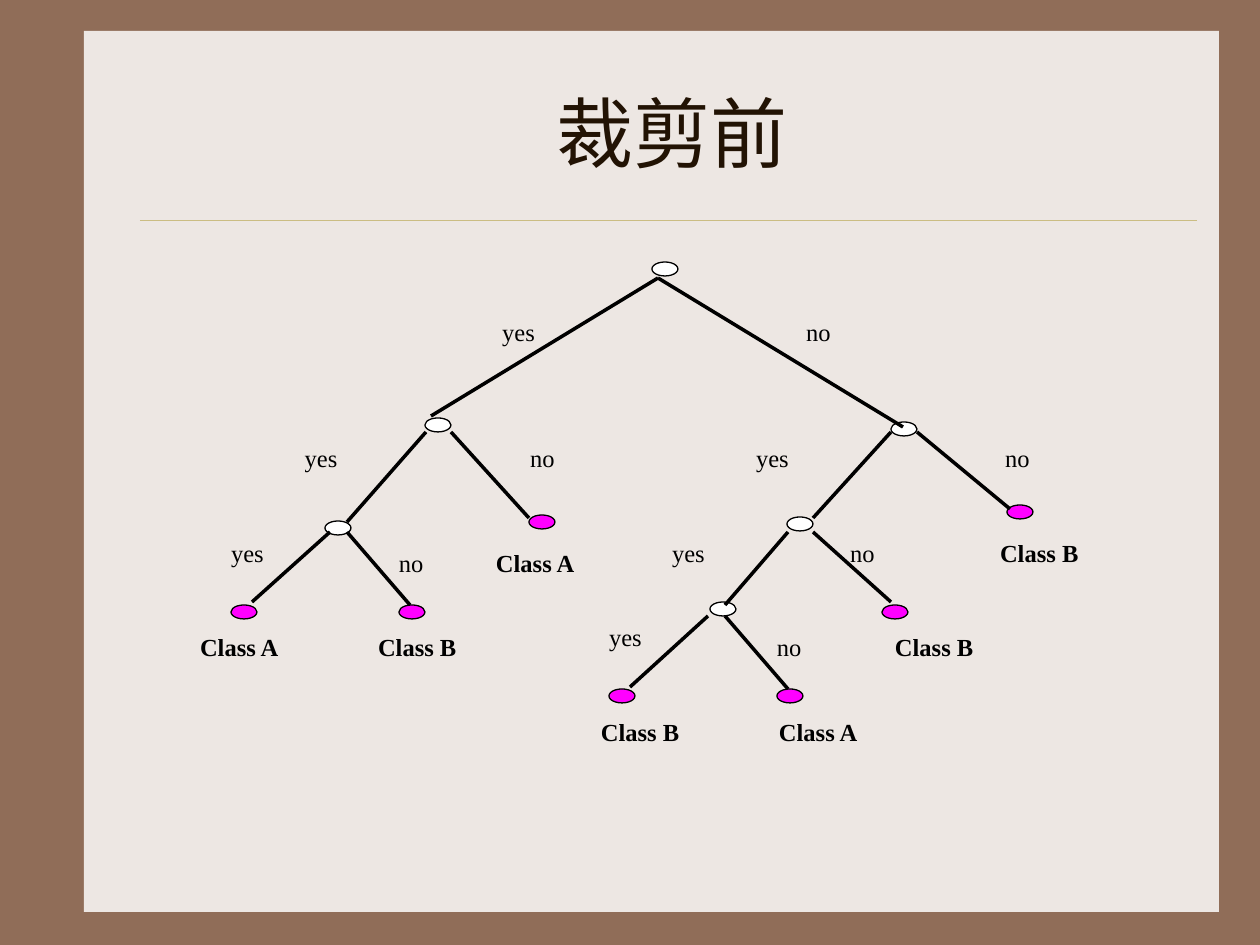
from lxml.etree import SubElement
from pptx import Presentation
from pptx.dml.color import RGBColor
from pptx.enum.shapes import MSO_CONNECTOR as CONNECTOR, MSO_SHAPE as SHAPE
from pptx.enum.text import MSO_ANCHOR as ANCHOR, PP_ALIGN as ALIGN
from pptx.oxml.ns import qn
from pptx.util import Emu, Pt

FONT = "Times New Roman"
BLACK, WHITE, MAGENTA = "000000", "FFFFFF", "FF00FF"
NODE_W, NODE_H = 26, 14

# Node centres, relative to the tree box
DECISIONS = [(465, 9), (238, 165), (704, 169), (138, 268), (600, 264), (523, 349)]
LEAVES = [(44, 352), (212, 352), (342, 262), (422, 436), (590, 436),
          (695, 352), (820, 252)]

# Branch starts, each with its yes end and its no end
BRANCHES = [
    ((458, 18), (231, 156)), ((458, 18), (703, 167)),
    ((226, 172), (147, 262)), ((251, 172), (329, 258)),
    ((691, 172), (613, 258)), ((717, 172), (810, 249)),
    ((130, 272), (52, 342)), ((147, 272), (210, 345)),
    ((588, 272), (525, 345)), ((613, 272), (691, 342)),
    ((508, 356), (430, 427)), ((525, 356), (588, 429)),
]

# Text, left, top, width
CENTRED_LABELS = [("yes", 241, 51, 155), ("no", 546, 51, 145), ("yes", 42, 177, 158),
                  ("no", 251, 177, 183), ("no", 745, 177, 145)]
FLUSH_LABELS = [("yes", 556, 177, 84), ("yes", 31, 272, 42), ("no", 199, 282, 42),
                ("yes", 472, 272, 84), ("no", 650, 272, 84), ("yes", 409, 356, 42),
                ("no", 577, 366, 42)]
FLUSH_CLASSES = [("Class A", 0, 366, 84), ("Class B", 178, 366, 84)]
INSET_CLASSES = [("Class A", 283, 282, 126), ("Class B", 682, 366, 125),
                 ("Class B", 787, 272, 168), ("Class B", 388, 451, 116),
                 ("Class A", 566, 451, 136)]


def px(value):
    return Emu(round(value * 914400 / 126))


def color(value):
    return RGBColor.from_string(value)


def add_block(page, kind, left, top, width, height, fill, line=None):
    shape = page.shapes.add_shape(kind, px(left), px(top), px(width), px(height))
    shape.shadow.inherit = False
    shape.fill.solid()
    shape.fill.fore_color.rgb = color(fill)
    if line:
        shape.line.color.rgb = color(line)
        shape.line.width = Pt(0.75)
    else:
        shape.line.fill.background()


def add_line(page, start, end, line, weight):
    connector = page.shapes.add_connector(
        CONNECTOR.STRAIGHT, *(px(value) for value in (*start, *end)))
    connector.line.color.rgb = color(line)
    connector.line.width = Pt(weight)
    SubElement(connector._element.spPr, qn("a:effectLst"))


def add_label(page, text, left, top, width, align, inset, bold):
    box = page.shapes.add_textbox(px(left), px(top), px(width), px(43))
    frame = box.text_frame
    frame.word_wrap = True
    frame.margin_left = frame.margin_right = px(inset)
    para = frame.paragraphs[0]
    para.text = text
    para.alignment = align
    para.font.name = FONT
    para.font.size = Pt(14)
    para.font.bold = bold
    para.font.color.rgb = color(BLACK)


def draw_frame(page, left, top, width, height):
    page.background.fill.solid()
    page.background.fill.fore_color.rgb = color("906D58")
    add_block(page, SHAPE.RECTANGLE, left, top, width, height, "EDE7E3")
    add_line(page, (left + 56, top + 189), (left + 1113, top + 189), "CBBD83", 0.25)


def draw_title(page, text, left, top, width, height):
    title = page.shapes.title
    title.left, title.top, title.width, title.height = map(px, (left, top, width, height))
    # Bring the title in front of the panel
    title.element.getparent().append(title.element)
    title.text_frame.text = text
    title.text_frame.vertical_anchor = ANCHOR.MIDDLE
    para = title.text_frame.paragraphs[0]
    para.alignment = ALIGN.CENTER
    para.font.name = FONT
    para.font.size = Pt(44)
    para.font.color.rgb = color("221304")


def draw_tree(page, left, top):
    # Nodes
    for centres, fill in ((DECISIONS, WHITE), (LEAVES, MAGENTA)):
        for x, y in centres:
            add_block(page, SHAPE.OVAL, left + x - NODE_W / 2, top + y - NODE_H / 2,
                      NODE_W, NODE_H, fill, BLACK)
    # Branches
    for (x1, y1), (x2, y2) in BRANCHES:
        add_line(page, (left + x1, top + y1), (left + x2, top + y2), BLACK, 2)
    # Branch and class labels
    for labels, align, inset, bold in (
            (CENTRED_LABELS, ALIGN.CENTER, 13, False),
            (FLUSH_LABELS, ALIGN.JUSTIFY, 0, False),
            (FLUSH_CLASSES, ALIGN.JUSTIFY, 0, True),
            (INSET_CLASSES, ALIGN.JUSTIFY, 13, True)):
        for text, x, y, width in labels:
            add_label(page, text, left + x, top + y, width, align, inset, bold)


def main():
    deck = Presentation()
    deck.slide_width, deck.slide_height = px(1260), px(945)
    page = deck.slides.add_slide(deck.slide_layouts[5])
    draw_frame(page, 84, 31, 1135, 881)
    draw_title(page, "裁剪前", 147, 53, 1050, 157)
    draw_tree(page, 200, 260)
    deck.save("out.pptx")


if __name__ == "__main__":
    main()
